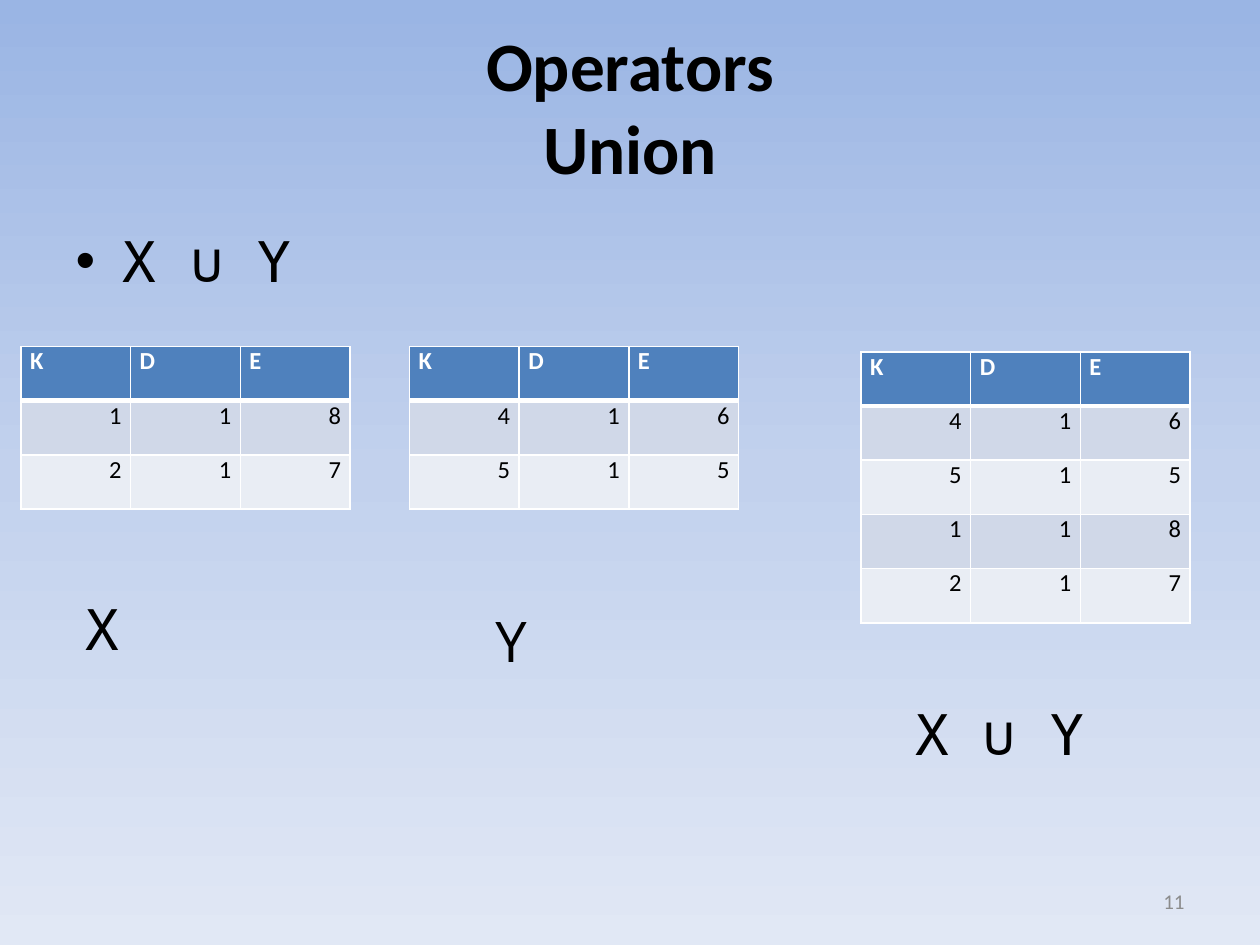
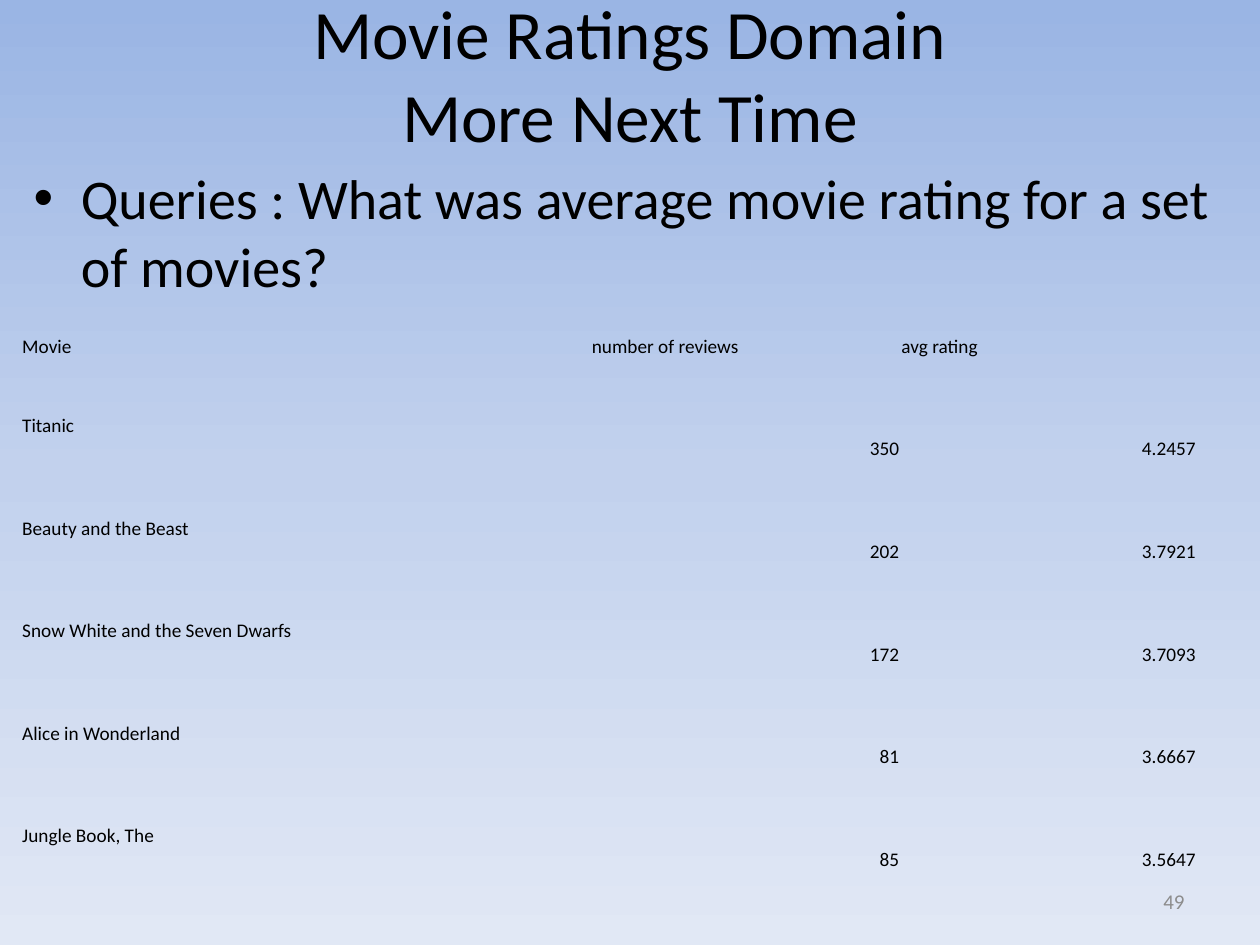
from copy import deepcopy

from pptx import Presentation
from pptx import util as u
from pptx.dml import color
from pptx.enum import text as t
from pptx.oxml import ns, xmlchemy

# Shared style
BLACK, WHITE, GREY = "000000", "FFFFFF", "8C8C8C"
HEAD, BANDS = "4F81BD", ("D0D8E8", "E9EDF4")
SKY = ((0, "9AB5E4"), (0.5, "C2D1ED"), (1, "E1E8F5"))
SANS, MONO, OPEN = "Calibri", "DejaVu Sans Mono", "Open Sans"
PLAIN = "{2D5ABB26-0587-4C30-8999-92F81FD0307C}"  # table style without grid
LEFT, MID, RIGHT = t.PP_ALIGN.LEFT, t.PP_ALIGN.CENTER, t.PP_ALIGN.RIGHT
TOP, CENTRE, LOW = t.MSO_ANCHOR.TOP, t.MSO_ANCHOR.MIDDLE, t.MSO_ANCHOR.BOTTOM


def rgb(code):
    return color.RGBColor.from_string(code)


def write(frame, words, size=32, font=SANS, ink=BLACK, bold=False, align=LEFT):
    """Fill a text frame with one paragraph; a newline breaks the line."""
    para = frame.paragraphs[0]
    para.text = words.replace("\n", "\v")
    para.alignment = align
    for run in para.runs:
        face = run.font
        face.size, face.name, face.bold = u.Pt(size), font, bold
        face.color.rgb = rgb(ink)
        # Symbols such as ∪ take the East Asian face
        asian = xmlchemy.OxmlElement("a:ea")
        asian.set("typeface", font)
        run._r.rPr.find(ns.qn("a:latin")).addnext(asian)


def edge(cell, widths):
    """Draw white borders; widths are left, right, top and bottom."""
    props = cell._tc.get_or_add_tcPr()
    for spot, (side, width) in enumerate(zip("LRTB", widths)):
        line = xmlchemy.OxmlElement(f"a:ln{side}")
        line.set("w", str(u.Pt(width)))
        fill = xmlchemy.OxmlElement("a:solidFill")
        tint = xmlchemy.OxmlElement("a:srgbClr")
        tint.set("val", WHITE)
        fill.append(tint)
        line.append(fill)
        props.insert(spot, line)


class Deck:
    def __init__(self):
        self.prs = Presentation()
        self.prs.slide_width, self.prs.slide_height = u.Pt(720), u.Pt(540)
        self.slide = None
        self.paint()

    def paint(self):
        """Give the master its three-stop gradient."""
        master = self.prs.slide_master
        fill = master.background.fill
        fill.gradient()
        fill.gradient_angle = 270
        stops = master.element.find(".//" + ns.qn("a:gsLst"))
        while len(stops) < len(SKY):
            stops.append(deepcopy(stops[0]))
        for stop, (place, code) in zip(fill.gradient_stops, SKY):
            stop.position, stop.color.rgb = place, rgb(code)

    def start(self, number):
        self.slide = self.prs.slides.add_slide(self.prs.slide_layouts[1])
        self.label(number, (516, 500.5, 168, 28.75), anchor=CENTRE,
                   size=12, ink=GREY, align=RIGHT)

    def place(self, shape, box, anchor):
        shape.left, shape.top, shape.width, shape.height = map(u.Pt, box)
        frame = shape.text_frame
        frame.word_wrap, frame.auto_size = True, t.MSO_AUTO_SIZE.NONE
        frame.vertical_anchor = anchor
        return frame

    def title(self, words, box, bold=False):
        frame = self.place(self.slide.shapes.title, box, CENTRE)
        write(frame, words, size=39.6, bold=bold, align=MID)

    def body(self, words, box, font=SANS):
        frame = self.place(self.slide.placeholders[1], box, TOP)
        write(frame, words, font=font)

    def label(self, words, box, anchor=TOP, **style):
        shape = self.slide.shapes.add_textbox(*map(u.Pt, box))
        write(self.place(shape, box, anchor), words, **style)

    def grid(self, left, top, cols, rows):
        """Add an unstyled table with the given column and row sizes."""
        shape = self.slide.shapes.add_table(
            len(rows), len(cols), u.Pt(left), u.Pt(top),
            u.Pt(sum(cols)), u.Pt(sum(rows)))
        table = shape.table
        table._tbl.tblPr.find(ns.qn("a:tableStyleId")).text = PLAIN
        for col, width in zip(table.columns, cols):
            col.width = u.Pt(width)
        for row, height in zip(table.rows, rows):
            row.height = u.Pt(height)
        return table

    def cell(self, cell, words, pads, anchor=TOP, **style):
        (cell.margin_left, cell.margin_top,
         cell.margin_right, cell.margin_bottom) = map(u.Pt, pads)
        cell.vertical_anchor = anchor
        write(cell.text_frame, words, **style)

    def relation(self, left, top, data):
        """Banded table of a relation with columns K, D and E."""
        rows = ["KDE", *data]
        table = self.grid(left, top, [62.7] * 3, [31] * len(rows))
        for r, row in enumerate(rows):
            look = (dict(ink=WHITE, bold=True) if r == 0
                    else dict(align=RIGHT))
            for c, words in enumerate(row):
                cell = table.cell(r, c)
                self.cell(cell, words, (5.2, 0, 5.2, 0), size=14, **look)
                cell.fill.solid()
                cell.fill.fore_color.rgb = rgb(BANDS[(r - 1) % 2] if r else HEAD)
                edge(cell, (1, 1, 3 if r == 1 else 1, 1 if r else 3))

    def ratings(self, left, top, data):
        """Clear table; film names sit one line above the numbers."""
        table = self.grid(left, top, [325.5, 177, 169.5],
                          [31] + [58.6] * (len(data) - 1))
        for r, row in enumerate(data):
            for c, words in enumerate(row):
                low = 13.4 if r and c == 0 else 0
                self.cell(table.cell(r, c), words, (0.7, 0.7, 0.7, low), LOW,
                          size=11, align=RIGHT if r and c else LEFT)
                table.cell(r, c).fill.background()


def main():
    deck = Deck()

    # Union of two relations
    deck.start("11")
    deck.title("Operators\nUnion", (36, 12, 648, 96), bold=True)
    deck.body("X ∪ Y", (36, 126, 618, 54), font=MONO)
    first, second = ["118", "217"], ["416", "515"]
    deck.relation(492, 201, second + first)
    deck.relation(12, 198, first)
    deck.relation(234, 198, second)
    deck.label("X ∪ Y", (516, 396, 156, 46), font=MONO)
    deck.label("Y", (276, 343, 96, 46), font=OPEN)
    deck.label("X", (42, 336, 114, 46), font=MONO)

    # Average movie ratings
    deck.start("49")
    deck.title("Movie Ratings Domain\nMore Next Time", (36, 12, 648, 60))
    deck.body("Queries : What was average movie rating for a set of movies?",
              (12, 90, 702, 108))
    deck.ratings(12, 174, [
        ("Movie", "number of reviews", "avg rating"),
        ("Titanic", "350", "4.2457"),
        ("Beauty and the Beast", "202", "3.7921"),
        ("Snow White and the Seven Dwarfs", "172", "3.7093"),
        ("Alice in Wonderland", "81", "3.6667"),
        ("Jungle Book, The", "85", "3.5647"),
    ])

    deck.prs.save("out.pptx")


if __name__ == "__main__":
    main()
